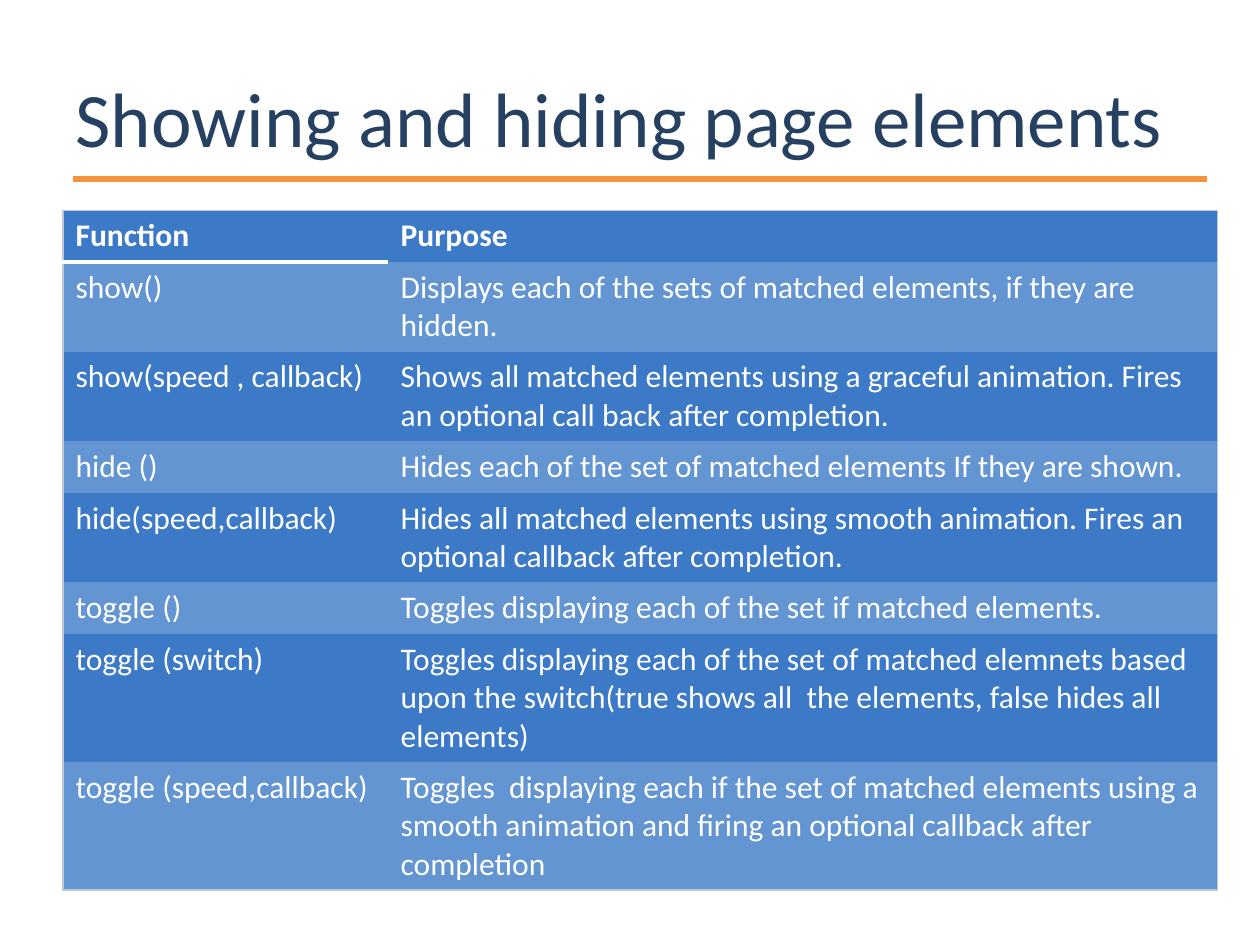
from lxml.etree import SubElement
from pptx import Presentation
from pptx.dml.color import RGBColor
from pptx.enum.shapes import MSO_CONNECTOR
from pptx.enum.text import MSO_ANCHOR, PP_ALIGN
from pptx.oxml import parse_xml
from pptx.oxml.ns import nsdecls, qn
from pptx.util import Inches, Pt

# Content
TITLE = "Showing and hiding page elements"
ROWS = [
    ("Function", "Purpose"),
    ("show()", "Displays each of the sets of matched elements, if they are hidden."),
    ("show(speed , callback)", "Shows all matched elements using a graceful animation. "
     "Fires an optional call back after completion."),
    ("hide ()", "Hides each of the set of matched elements If they are shown."),
    ("hide(speed,callback)", "Hides all matched elements using smooth animation. "
     "Fires an optional callback after completion."),
    ("toggle ()", "Toggles displaying each of the set if matched elements."),
    ("toggle (switch)", "Toggles displaying each of the set of matched elemnets based "
     "upon the switch(true shows all  the elements, false hides all elements)"),
    ("toggle (speed,callback)", "Toggles  displaying each if the set of matched elements "
     "using a smooth animation and firing an optional callback after completion"),
]
COLUMN_WIDTHS = (2.58, 6.58)
ROW_HEIGHT = 0.41

THEME = {
    "title": {"name": "Calibri", "size": Pt(44), "color": "254061"},
    "header": {"name": "Calibri", "size": Pt(18), "bold": True, "color": "FFFFFF"},
    "body": {"name": "Calibri", "size": Pt(18), "bold": False, "color": "FFFFFF"},
    "rule": "F69240",
    "bands": ("3C7AC8", "6395D3"),
    "outline": ("BDC8DD", 0.75),
    "header_line": ("FFFFFF", 3),
}


def format_font(font, style):
    for name, value in style.items():
        if name == "color":
            font.color.rgb = RGBColor.from_string(value)
        else:
            setattr(font, name, value)


def set_borders(cell, borders):
    """Add borders, keyed by side, ahead of the cell fill."""
    properties = cell._tc.get_or_add_tcPr()
    sides = [side for side in "LRTB" if side in borders]
    for position, side in enumerate(sides):
        color, width = borders[side]
        properties.insert(position, parse_xml(
            f'<a:ln{side} {nsdecls("a")} w="{Pt(width)}"><a:solidFill>'
            f'<a:srgbClr val="{color}"/></a:solidFill></a:ln{side}>'))


presentation = Presentation()
presentation.slide_width, presentation.slide_height = Inches(10), Inches(7.5)
slide = presentation.slides.add_slide(presentation.slide_layouts[5])

# Title
title = slide.shapes.title
title.left, title.top, title.width, title.height = map(Inches, (0.5, 0.3, 9, 1.25))
title.text_frame.text = TITLE
title.text_frame.vertical_anchor = MSO_ANCHOR.MIDDLE
paragraph = title.text_frame.paragraphs[0]
paragraph.alignment = PP_ALIGN.LEFT
format_font(paragraph.runs[0].font, THEME["title"])

# Rule below the title
rule = slide.shapes.add_connector(
    MSO_CONNECTOR.STRAIGHT, *map(Inches, (0.58, 1.42, 9.58, 1.42)))
rule.line.color.rgb = RGBColor.from_string(THEME["rule"])
rule.line.width = Pt(3)
SubElement(rule._element.spPr, qn("a:effectLst"))

# Table of functions
table = slide.shapes.add_table(
    len(ROWS), len(COLUMN_WIDTHS), Inches(0.5), Inches(1.67),
    Inches(sum(COLUMN_WIDTHS)), Inches(ROW_HEIGHT * len(ROWS))).table
for column, width in zip(table.columns, COLUMN_WIDTHS):
    column.width = Inches(width)
for row_index, texts in enumerate(ROWS):
    table.rows[row_index].height = Inches(ROW_HEIGHT)
    for column_index, text in enumerate(texts):
        cell = table.cell(row_index, column_index)
        cell.text = text
        style = THEME["body" if row_index else "header"]
        format_font(cell.text_frame.paragraphs[0].runs[0].font, style)
        cell.fill.solid()
        cell.fill.fore_color.rgb = RGBColor.from_string(THEME["bands"][row_index % 2])

        # Outline around the table, white line under the first heading
        borders = {"R" if column_index else "L": THEME["outline"]}
        if row_index == 0:
            borders["T"] = THEME["outline"]
            if column_index == 0:
                borders["B"] = THEME["header_line"]
        elif row_index == len(ROWS) - 1:
            borders["B"] = THEME["outline"]
        set_borders(cell, borders)
# The default style would draw its own white grid lines
table._tbl.tblPr.find(qn("a:tableStyleId")).text = "{2D5ABB26-0587-4C30-8999-92F81FD0307C}"

presentation.save("out.pptx")
